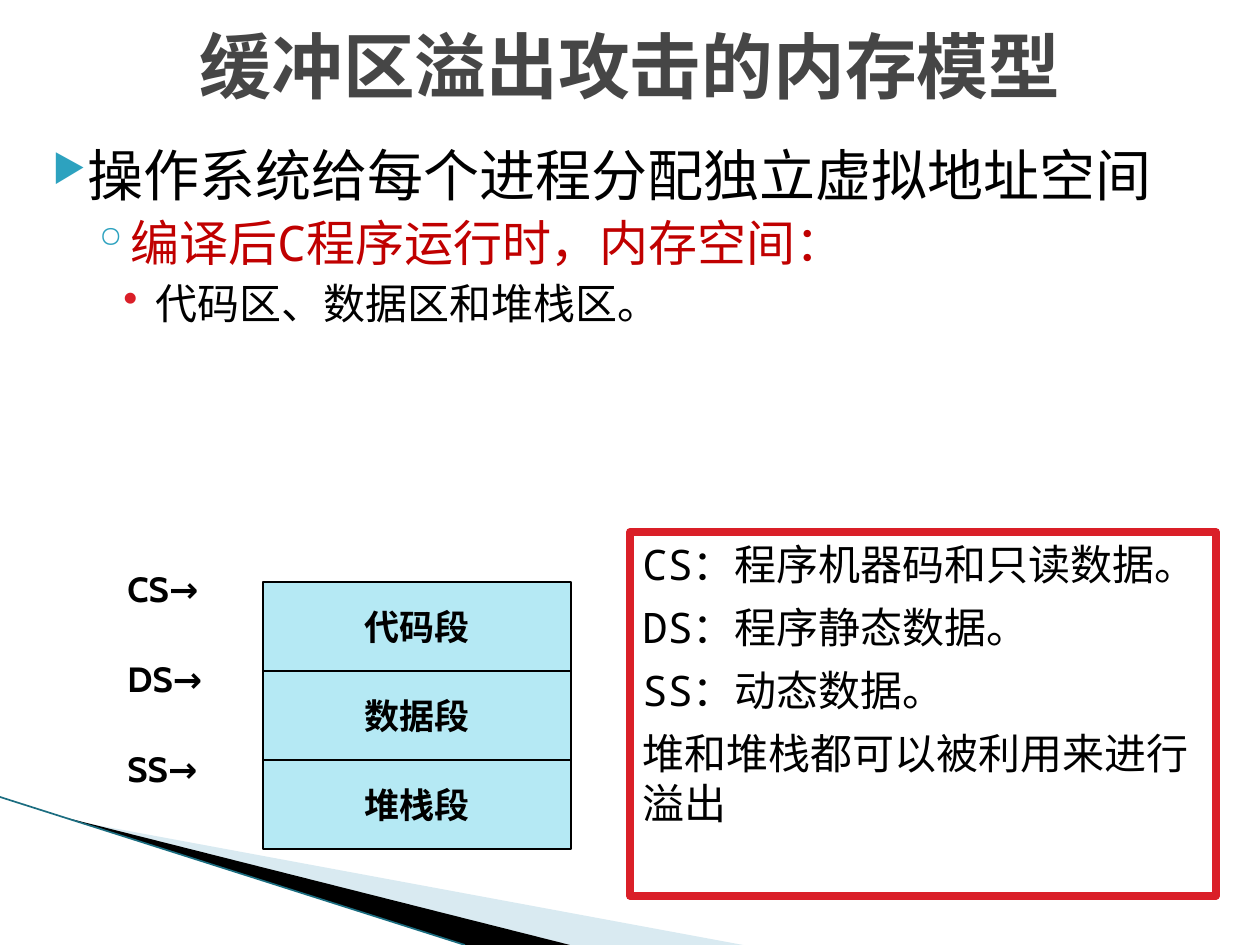
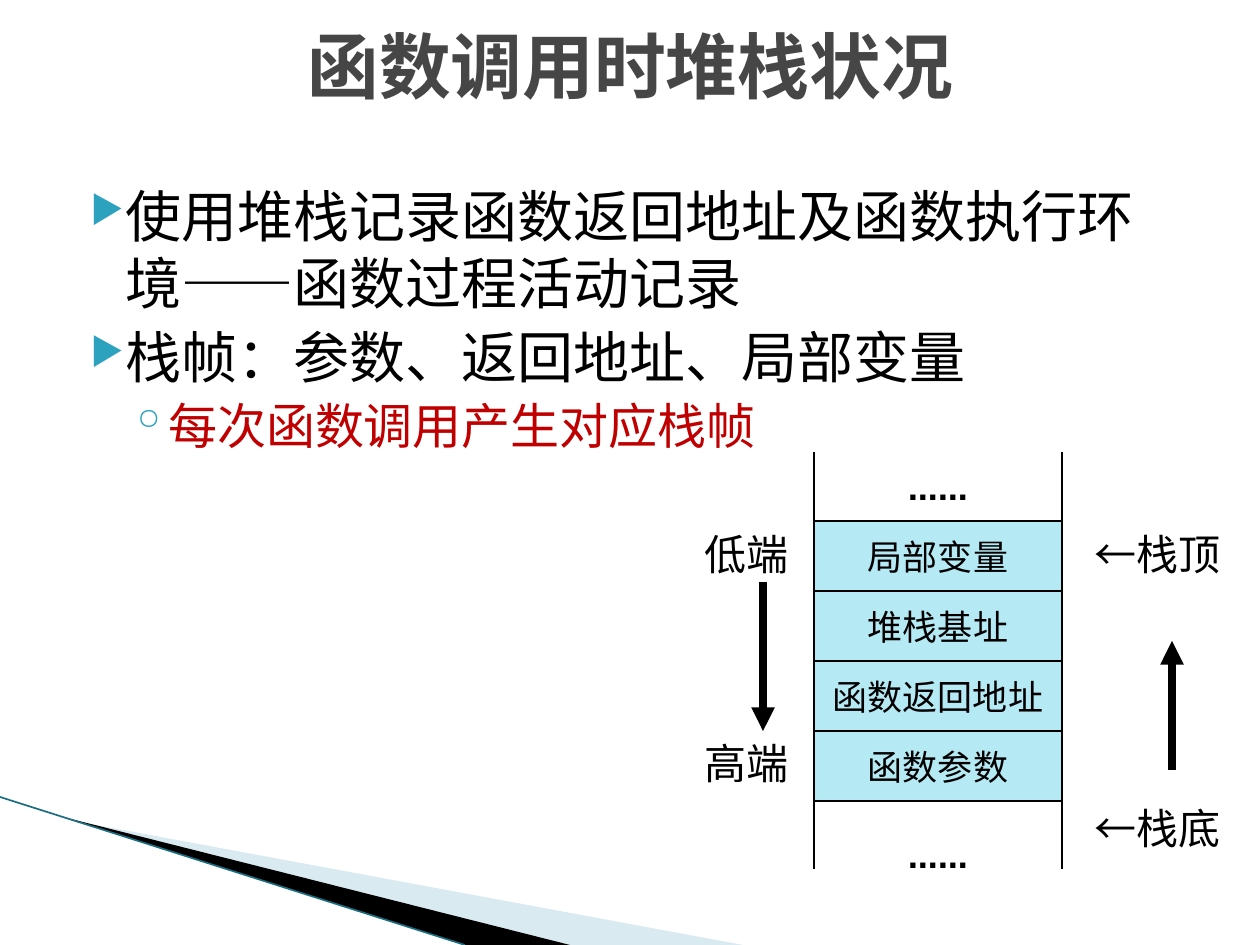
from lxml import etree
from pptx import Presentation
from pptx.dml.color import RGBColor
from pptx.enum.shapes import MSO_CONNECTOR as Conn, MSO_SHAPE as Shape
from pptx.enum.text import MSO_ANCHOR as Anchor, MSO_AUTO_SIZE as Auto, PP_ALIGN as Align
from pptx.oxml.ns import qn
from pptx.util import Emu, Pt

UNIT = 914400 / 126
MONO, SANS = "Noto Sans Mono", "Cabin"
BLACK, WHITE, GREY, CYAN = "000000", "FFFFFF", "464646", "B5E9F4"
TEAL, RED, WINE, PALE, EDGE = "2DA2BF", "DA1F28", "C00000", "D9EAF1", "1B6D80"

# Text formats
HEAD = dict(name=MONO, size=Pt(41), bold=True, color=GREY)
PANEL = dict(name=MONO, size=Pt(24), color=BLACK)
CELL = dict(name=SANS, size=Pt(20), color=BLACK)
BOLD = dict(CELL, bold=True)
LABEL = dict(name=SANS, size=Pt(24), color=BLACK)
DOTS = dict(LABEL, bold=True)

# Body levels: margin, hang, space before, bullet, its colour, its size, text size, text colour
LEVELS = [
    (50, 35, 4, "▶", TEAL, 68, 32, BLACK),
    (86, 32, 3.2, "◦", TEAL, 100, 28, WINE),
    (118, 32, 3.5, "•", RED, 100, 24, BLACK),
]


def px(n):
    return Emu(round(n * UNIT))


def rgb(code):
    return RGBColor.from_string(code)


def style(font, fmt):
    for key, val in fmt.items():
        if key == "color":
            font.color.rgb = rgb(val)
        else:
            setattr(font, key, val)


def paint(shape, fill, line=None, width=0.75):
    shape.shadow.inherit = False
    shape.fill.solid()
    shape.fill.fore_color.rgb = rgb(fill)
    if line:
        shape.line.color.rgb = rgb(line)
        shape.line.width = Pt(width)
    else:
        shape.line.fill.background()


def write(frame, lines, fmt, align=Align.LEFT, anchor=Anchor.TOP, gap=0, wrap=True):
    frame.word_wrap = wrap
    frame.auto_size = Auto.NONE
    frame.vertical_anchor = anchor
    for i, line in enumerate(lines):
        para = frame.add_paragraph() if i else frame.paragraphs[0]
        para.alignment = align
        if i and gap:
            para.space_before = Pt(gap)
        run = para.add_run()
        run.text = line
        style(run.font, fmt)


def add_rect(slide, x, y, w, h, fill, line, width=0.75):
    rect = slide.shapes.add_shape(Shape.RECTANGLE, *map(px, (x, y, w, h)))
    paint(rect, fill, line, width)
    return rect


def add_label(slide, text, x, y, w, fmt, align=Align.LEFT):
    box = slide.shapes.add_textbox(*map(px, (x, y, w, 63)))
    write(box.text_frame, [text], fmt, align)


def add_stack(slide, names, x, y, w, h, fmt):
    for i, name in enumerate(names):
        cell = add_rect(slide, x, y + i * h, w, h, CYAN, BLACK)
        write(cell.text_frame, [name], fmt, Align.CENTER, Anchor.MIDDLE, wrap=False)


def add_line(slide, x1, y1, x2, y2, color=BLACK, width=0.75, arrow=False):
    line = slide.shapes.add_connector(Conn.STRAIGHT, *map(px, (x1, y1, x2, y2)))
    line.line.color.rgb = rgb(color)
    line.line.width = Pt(width)
    if arrow:
        etree.SubElement(line.line._get_or_add_ln(), qn("a:tailEnd"), type="triangle")
    etree.SubElement(line._element.spPr, qn("a:effectLst"))


def add_wedge(slide, points, fill):
    start, *rest = points
    form = slide.shapes.build_freeform(*start, scale=UNIT)
    form.add_line_segments(rest)
    paint(form.convert_to_shape(), fill)


def add_bullet(para, mark, color, size):
    props = para._p.get_or_add_pPr()
    tint = etree.SubElement(props, qn("a:buClr"))
    etree.SubElement(tint, qn("a:srgbClr"), val=color)
    etree.SubElement(props, qn("a:buSzPct"), val=str(size * 1000))
    etree.SubElement(props, qn("a:buChar"), char=mark)
    return props


def add_body(slide, items, x, y, w, h):
    frame = slide.shapes.add_textbox(*map(px, (x, y, w, h))).text_frame
    frame.word_wrap = True
    for i, (level, text) in enumerate(items):
        left, hang, gap, mark, tint, scale, size, color = LEVELS[level]
        para = frame.add_paragraph() if i else frame.paragraphs[0]
        para.level = level
        props = add_bullet(para, mark, tint, scale)
        props.set("marL", str(px(left)))
        props.set("indent", str(px(-hang)))
        if i:
            para.space_before = Pt(gap)
        run = para.add_run()
        run.text = text
        style(run.font, dict(name=MONO, size=Pt(size), color=color))


def add_page(deck, title):
    slide = deck.slides.add_slide(deck.slide_layouts[5])
    # Corner bands
    add_wedge(slide, [(69, 820), (743, 945), (570, 945)], PALE)
    add_wedge(slide, [(67, 818), (570, 945), (465, 945)], BLACK)
    add_line(slide, 0, 797, 465, 945, EDGE, 0.95)
    # Title
    head = slide.shapes.title
    head.left, head.top, head.width, head.height = map(px, (25, 6, 1211, 117))
    write(head.text_frame, [title], HEAD, Align.CENTER, Anchor.MIDDLE)
    return slide


def add_memory(deck):
    slide = add_page(deck, "缓冲区溢出攻击的内存模型")
    add_body(slide, [
        (0, "操作系统给每个进程分配独立虚拟地址空间"),
        (1, "编译后C程序运行时，内存空间："),
        (2, "代码区、数据区和堆栈区。"),
    ], 25, 134, 1211, 703)
    # Segments and their registers
    add_stack(slide, ["代码段", "数据段", "堆栈段"], 263, 582, 308, 89, BOLD)
    for i, name in enumerate(["CS→", "DS→", "SS→"]):
        add_label(slide, name, 115, 561 + i * 90, 120, BOLD)
    # Explanation panel
    panel = add_rect(slide, 630, 532, 586, 364, WHITE, RED, 4.33)
    write(panel.text_frame, [
        "CS：程序机器码和只读数据。",
        "DS：程序静态数据。",
        "SS：动态数据。",
        "堆和堆栈都可以被利用来进行溢出",
    ], PANEL, gap=7.2)


def add_frame(deck):
    slide = add_page(deck, "函数调用时堆栈状况")
    add_body(slide, [
        (0, "使用堆栈记录函数返回地址及函数执行环境——函数过程活动记录"),
        (0, "栈帧：参数、返回地址、局部变量"),
        (1, "每次函数调用产生对应栈帧"),
    ], 63, 175, 1134, 737)
    # Stack frame between two rails
    left, wide = 814, 248
    add_stack(slide, ["局部变量", "堆栈基址", "函数返回地址", "函数参数"],
              left, 521, wide, 70, CELL)
    for x in (left, left + wide):
        add_line(slide, x, 452, x, 869)
    for y in (452, 820):
        add_label(slide, "……", left, y, wide, DOTS, Align.CENTER)
    # Side labels and arrows
    for text, x, y, w in [("←栈顶", 1082, 522, 173), ("←栈底", 1082, 796, 173),
                          ("低端", 692, 522, 110), ("高端", 692, 731, 110)]:
        add_label(slide, text, x, y, w, LABEL)
    add_line(slide, 763, 582, 763, 731, width=4.5, arrow=True)
    add_line(slide, 1172, 770, 1172, 641, width=4.5, arrow=True)


def main():
    deck = Presentation()
    deck.slide_width, deck.slide_height = px(1260), px(945)
    add_memory(deck)
    add_frame(deck)
    deck.save("out.pptx")


if __name__ == "__main__":
    main()
